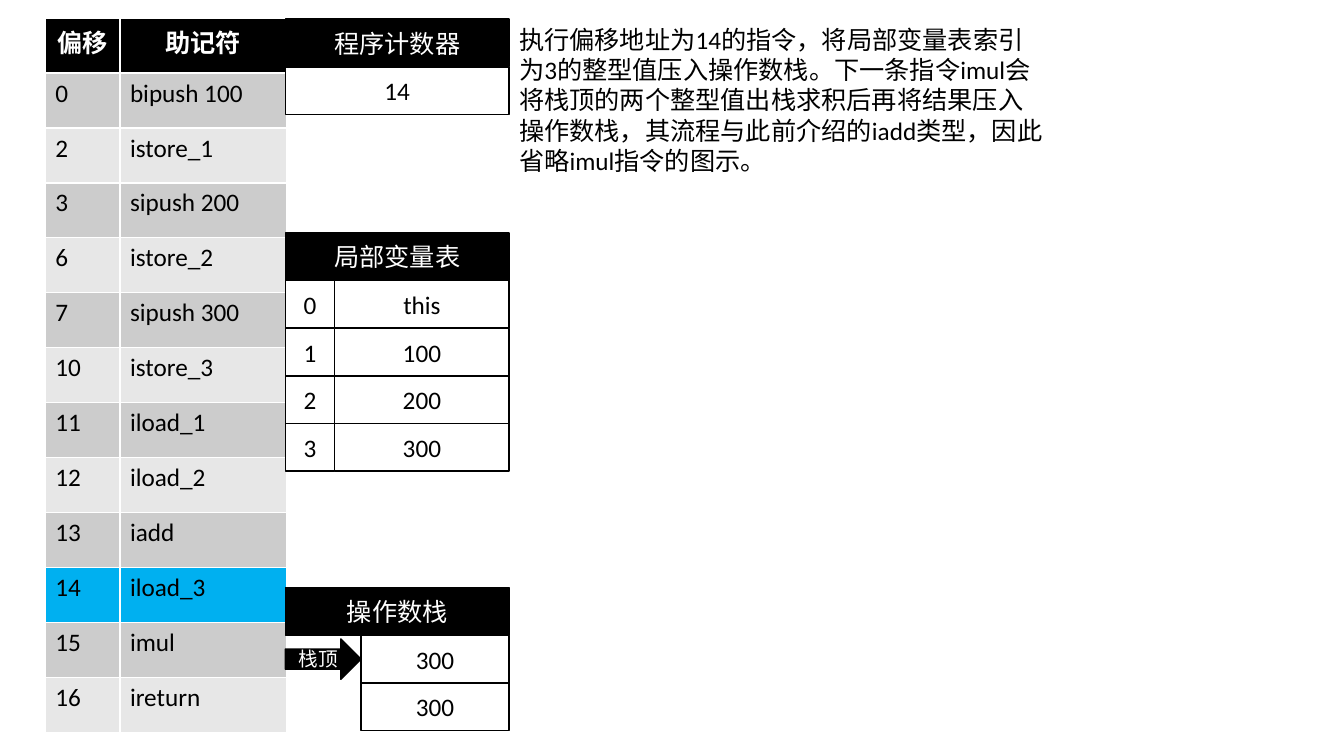
from pptx import Presentation
from pptx.dml.color import RGBColor
from pptx.enum import shapes, text
from pptx.util import Inches, Pt

BLACK = RGBColor(0x00, 0x00, 0x00)
WHITE = RGBColor(0xFF, 0xFF, 0xFF)
DARK_BAND = RGBColor(0xCC, 0xCC, 0xCC)
LIGHT_BAND = RGBColor(0xE7, 0xE7, 0xE7)
CURRENT = RGBColor(0x00, 0xB0, 0xF0)

FONT = "Calibri"
ROW_H = 0.473
PANEL_X, PANEL_W = 2.83, 2.22
INDEX_W = 0.49
ARROW_W, ARROW_H = 0.75, 0.4

PROGRAM = [
    ("0", "bipush 100"), ("2", "istore_1"), ("3", "sipush 200"),
    ("6", "istore_2"), ("7", "sipush 300"), ("10", "istore_3"),
    ("11", "iload_1"), ("12", "iload_2"), ("13", "iadd"),
    ("14", "iload_3"), ("15", "imul"), ("16", "ireturn"),
]
COUNTER = "14"
EXPLANATION = (
    "执行偏移地址为14的指令，将局部变量表索引为3的整型值压入操作数栈。"
    "下一条指令imul会将栈顶的两个整型值出栈求积后再将结果压入操作数栈，"
    "其流程与此前介绍的iadd类型，因此省略imul指令的图示。"
)


def style(p, color, size=18, bold=False, align=None):
    p.font.name = FONT
    p.font.size = Pt(size)
    p.font.bold = bold
    p.font.color.rgb = color
    if align is not None:
        p.alignment = align


def add_box(parent, x, y, w, h, label, fill=WHITE, color=BLACK, size=18,
            kind=shapes.MSO_SHAPE.RECTANGLE):
    sp = parent.shapes.add_shape(kind, Inches(x), Inches(y), Inches(w), Inches(h))
    sp.shadow.inherit = False
    sp.fill.solid()
    sp.fill.fore_color.rgb = fill
    sp.line.color.rgb = BLACK
    sp.line.width = Pt(1)
    tf = sp.text_frame
    tf.vertical_anchor = text.MSO_ANCHOR.MIDDLE
    tf.text = label
    style(tf.paragraphs[0], color, size, align=text.PP_ALIGN.CENTER)


def add_panel(slide, x, y, w, title):
    """Start a grouped panel with its black title bar."""
    group = slide.shapes.add_group_shape()
    add_box(group, x, y, w, ROW_H, title, BLACK, WHITE)
    return group


def add_bytecode_table(slide, x, y, col_widths, row_h):
    rows = [("偏移", "助记符")] + PROGRAM
    frame = slide.shapes.add_table(len(rows), len(col_widths), Inches(x), Inches(y),
                                   Inches(sum(col_widths)), Inches(row_h * len(rows)))
    table = frame.table
    for column, width in zip(table.columns, col_widths):
        column.width = Inches(width)
    for i, values in enumerate(rows):
        header = i == 0
        if header:
            fill = BLACK
        elif values[0] == COUNTER:
            fill = CURRENT
        else:
            fill = DARK_BAND if i % 2 else LIGHT_BAND
        for cell, value in zip(table.rows[i].cells, values):
            cell.fill.solid()
            cell.fill.fore_color.rgb = fill
            cell.text = value
            style(cell.text_frame.paragraphs[0], WHITE if header else BLACK,
                  bold=header, align=text.PP_ALIGN.CENTER if header else None)


def add_program_counter(slide, x, y, w):
    group = add_panel(slide, x, y, w, "程序计数器")
    add_box(group, x, y + ROW_H, w, ROW_H, COUNTER)


def add_local_variables(slide, x, y, w, values):
    group = add_panel(slide, x, y, w, "局部变量表")
    for i, value in enumerate(values):
        row_y = y + (i + 1) * ROW_H
        add_box(group, x + INDEX_W, row_y, w - INDEX_W, ROW_H, value)
        add_box(group, x, row_y, INDEX_W, ROW_H, str(i))


def add_operand_stack(slide, x, y, w, values):
    group = add_panel(slide, x, y, w, "操作数栈")
    for i, value in enumerate(values):
        add_box(group, x + ARROW_W, y + (i + 1) * ROW_H, w - ARROW_W, ROW_H, value)
    # Arrow centred on the top entry
    add_box(group, x, y + ROW_H + (ROW_H - ARROW_H) / 2, ARROW_W, ARROW_H, "栈顶",
            BLACK, WHITE, 14, shapes.MSO_SHAPE.RIGHT_ARROW)


def add_explanation(slide, x, y, w, h):
    box = slide.shapes.add_textbox(Inches(x), Inches(y), Inches(w), Inches(h))
    tf = box.text_frame
    tf.word_wrap = True
    tf.auto_size = text.MSO_AUTO_SIZE.SHAPE_TO_FIT_TEXT
    tf.text = EXPLANATION
    style(tf.paragraphs[0], BLACK)


def main():
    prs = Presentation()
    prs.slide_width, prs.slide_height = Inches(13.33), Inches(7.5)
    slide = prs.slides.add_slide(prs.slide_layouts[6])

    # Bytecode listing
    add_bytecode_table(slide, 0.45, 0.18, (0.74, 1.65), 0.545)
    # Machine state
    add_local_variables(slide, PANEL_X, 2.31, PANEL_W, ["this", "100", "200", "300"])
    add_program_counter(slide, PANEL_X, 0.19, PANEL_W)
    add_operand_stack(slide, PANEL_X, 5.83, PANEL_W, ["300", "300"])
    # Explanation
    add_explanation(slide, PANEL_X + PANEL_W, 0.19, 5.42, 1.62)

    prs.save("out.pptx")


if __name__ == "__main__":
    main()
